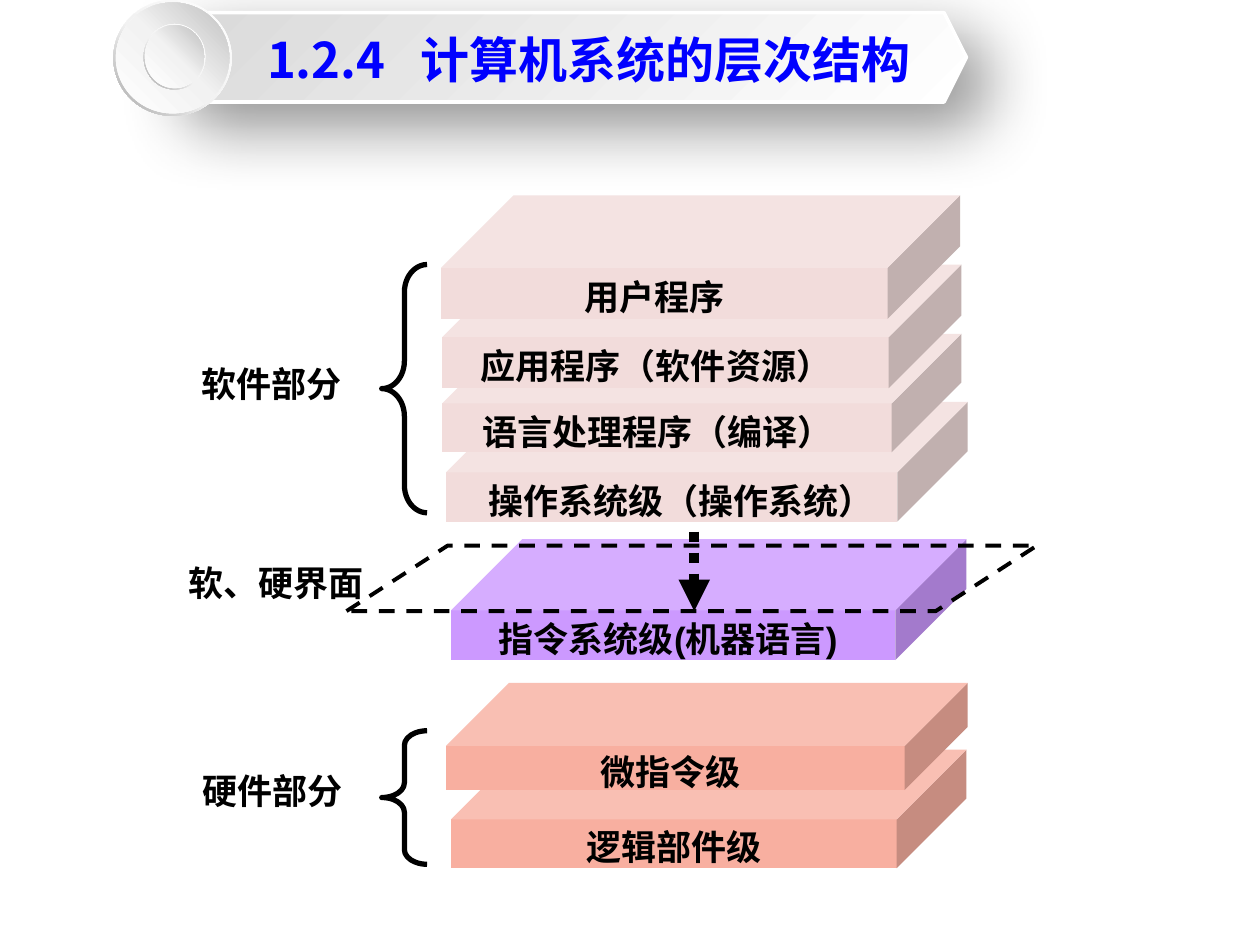
from dataclasses import dataclass

from pptx import Presentation
from pptx.dml.color import RGBColor
from pptx.enum.dml import MSO_LINE
from pptx.enum.shapes import MSO_CONNECTOR, MSO_SHAPE
from pptx.enum.text import MSO_ANCHOR, MSO_AUTO_SIZE, PP_ALIGN
from pptx.oxml import parse_xml
from pptx.oxml.ns import nsdecls, qn
from pptx.util import Inches, Pt


@dataclass(frozen=True)
class Theme:
    black: str = "000000"
    white: str = "FFFFFF"
    title: str = "0000FF"
    software: str = "F2DCDB"
    interface: str = "CC99FF"
    hardware: str = "F8AFA0"
    banner: tuple = ((0, "FFFFFF"), (100, "D9D9D9"))
    rim: tuple = ((0, "FFFFFF"), (55, "F2F2F2"), (100, "A6A6A6"))
    disc: tuple = ((0, "FFFFFF"), (51, "F2F2F2"), (100, "BFBFBF"))
    label_font: str = "Arial"
    chinese_font: str = "Noto Sans CJK SC"
    label_size: int = 20
    title_size: int = 28


def drawing_xml(tag, attributes="", content=""):
    return parse_xml(f"<a:{tag} {nsdecls('a')} {attributes}>{content}</a:{tag}>")


def write_text(shape, text, *, size, color, font, chinese_font, tab=None,
               align=PP_ALIGN.CENTER, margins=(0.1, 0.05, 0.1, 0.05), wrap=True):
    frame = shape.text_frame
    frame.word_wrap = wrap
    frame.auto_size = MSO_AUTO_SIZE.NONE
    frame.vertical_anchor = MSO_ANCHOR.MIDDLE
    (frame.margin_left, frame.margin_top,
     frame.margin_right, frame.margin_bottom) = map(Inches, margins)
    paragraph = frame.paragraphs[0]
    paragraph.alignment = align
    if tab:
        stop = f'<a:tab pos="{Inches(tab)}" algn="l"/>'
        paragraph._p.get_or_add_pPr().append(drawing_xml("tabLst", content=stop))
    run = paragraph.add_run()
    run.text = text
    run.font.size = Pt(size)
    run.font.bold = True
    run.font.name = font
    run.font.color.rgb = RGBColor.from_string(color)
    run.font._element.find(qn("a:latin")).addnext(
        drawing_xml("ea", f'typeface="{chinese_font}"'))


class SlideBuilder:
    def __init__(self, slide, theme):
        self.slide = slide
        self.theme = theme

    def shape(self, kind, box, fill=None, adjust=()):
        shape = self.slide.shapes.add_shape(kind, *map(Inches, box))
        shape.shadow.inherit = False
        shape.line.fill.background()
        for index, value in enumerate(adjust):
            shape.adjustments[index] = value
        if fill:
            shape.fill.solid()
            shape.fill.fore_color.rgb = RGBColor.from_string(fill)
        else:
            shape.fill.background()
        return shape

    def outline(self, line, color, width, dash=None):
        line.color.rgb = RGBColor.from_string(color)
        line.width = Pt(width)
        if dash:
            line.dash_style = dash

    def gradient_shape(self, kind, box, stops, angle, adjust=()):
        shape = self.shape(kind, box, self.theme.white, adjust)
        stop_xml = "".join(
            f'<a:gs pos="{position * 1000}"><a:srgbClr val="{color}"/></a:gs>'
            for position, color in stops)
        gradient = drawing_xml(
            "gradFill", 'rotWithShape="1"',
            f'<a:gsLst>{stop_xml}</a:gsLst><a:lin ang="{angle * 60000}" scaled="0"/>')
        properties = shape._element.spPr
        properties.replace(properties.find(qn("a:solidFill")), gradient)
        return shape

    def text(self, shape, text, **options):
        theme = self.theme
        style = dict(size=theme.label_size, color=theme.black,
                     font=theme.label_font, chinese_font=theme.chinese_font)
        write_text(shape, text, **{**style, **options})

    def layer(self, text, box, fill, indent=0, outdent=0):
        cube = self.shape(MSO_SHAPE.CUBE, box, fill, (0.588,))
        self.text(cube, text, margins=(indent, 0.05, outdent, 0), wrap=False)

    def label(self, text, box, align=PP_ALIGN.CENTER):
        self.text(self.slide.shapes.add_textbox(*map(Inches, box)), text, align=align)

    def brace(self, top, height, curve):
        brace = self.shape(MSO_SHAPE.LEFT_BRACE, (3.03, top, 0.36, height),
                           adjust=(curve, 0.5))
        self.outline(brace.line, self.theme.black, 3)

    def boundary(self, box):
        plane = self.shape(MSO_SHAPE.PARALLELOGRAM, box, adjust=(1.545,))
        self.outline(plane.line, self.theme.black, 2.25, MSO_LINE.DASH)

    def arrow(self, start, end):
        arrow = self.slide.shapes.add_connector(
            MSO_CONNECTOR.STRAIGHT, *map(Inches, (*start, *end)))
        self.outline(arrow.line, self.theme.black, 6, MSO_LINE.ROUND_DOT)
        arrow.line._get_or_add_ln().append(drawing_xml("tailEnd", 'type="triangle"'))
        arrow._element.spPr.append(drawing_xml("effectLst"))

    def banner(self, box):
        banner = self.gradient_shape(MSO_SHAPE.HEXAGON, box, self.theme.banner, 225)
        self.outline(banner.line, self.theme.white, 2)
        properties = banner._element.spPr
        properties.remove(properties.find(qn("a:effectLst")))
        shadow = (f'<a:outerShdw blurRad="{Pt(38)}" dist="{Pt(19)}" dir="2700000" '
                  f'algn="tl" rotWithShape="0"><a:srgbClr val="{self.theme.black}">'
                  '<a:alpha val="42000"/></a:srgbClr></a:outerShdw>')
        properties.append(drawing_xml("effectLst", content=shadow))

    def badge(self, left, top, width, height, rim):
        self.gradient_shape(MSO_SHAPE.DONUT, (left, top, width, height),
                            self.theme.rim, 135, (0.049,))
        disc = (left + rim, top + rim, width - 2 * rim, height - 2 * rim)
        self.gradient_shape(MSO_SHAPE.OVAL, disc, self.theme.disc, 315)

    def title(self, text, box):
        title = self.slide.shapes.title
        title.left, title.top, title.width, title.height = map(Inches, box)
        self.text(title, text, size=self.theme.title_size, color=self.theme.title,
                  font=self.theme.chinese_font, align=PP_ALIGN.LEFT, tab=1.22)
        # Bring the title in front of the banner
        self.slide.shapes._spTree.append(title._element)


def main():
    presentation = Presentation()
    presentation.slide_width, presentation.slide_height = Inches(10), Inches(7.5)
    theme = Theme()
    slide = presentation.slides.add_slide(presentation.slide_layouts[5])
    builder = SlideBuilder(slide, theme)

    # Hardware and software layers, lowest first
    builder.layer("逻辑部件级", (3.58, 5.95, 4.09, 0.94), theme.hardware)
    builder.layer("微指令级", (3.54, 5.42, 4.14, 0.85), theme.hardware, outdent=0.08)
    builder.layer("操作系统级（操作系统）", (3.54, 3.19, 4.14, 0.95),
                  theme.software, indent=0.15)
    builder.layer("语言处理程序（编译）", (3.51, 2.65, 4.12, 0.94),
                  theme.software, outdent=0.15)
    builder.layer("应用程序（软件资源）", (3.51, 2.1, 4.12, 0.98),
                  theme.software, outdent=0.15)

    # Side labels and braces
    builder.label("软件部分", (1.5, 2.82, 1.42, 0.45), PP_ALIGN.LEFT)
    builder.label("软、硬界面", (1.19, 4.4, 2, 0.45))
    builder.label("硬件部分", (1.39, 6.05, 1.55, 0.45))
    builder.brace(2.1, 1.97, 0.61)
    builder.brace(5.8, 1.06, 0.323)

    # Interface between software and hardware
    builder.layer("指令系统级(机器语言)", (3.58, 4.28, 4.09, 0.96),
                  theme.interface, outdent=0.08)
    builder.boundary((2.75, 4.33, 5.48, 0.52))
    builder.arrow((5.51, 4.22), (5.51, 4.85))

    # Top layer
    builder.layer("用户程序", (3.5, 1.55, 4.12, 0.98), theme.software, outdent=0.15)

    # Title banner
    builder.banner((1.22, 0.1, 6.45, 0.71))
    builder.badge(0.9, 0, 0.94, 0.92, rim=0.02)
    builder.title("1.2.4\t计算机系统的层次结构", (2.02, 0.18, 6.45, 0.57))
    builder.badge(1.14, 0.19, 0.49, 0.52, rim=0.01)

    presentation.save("out.pptx")


if __name__ == "__main__":
    main()
